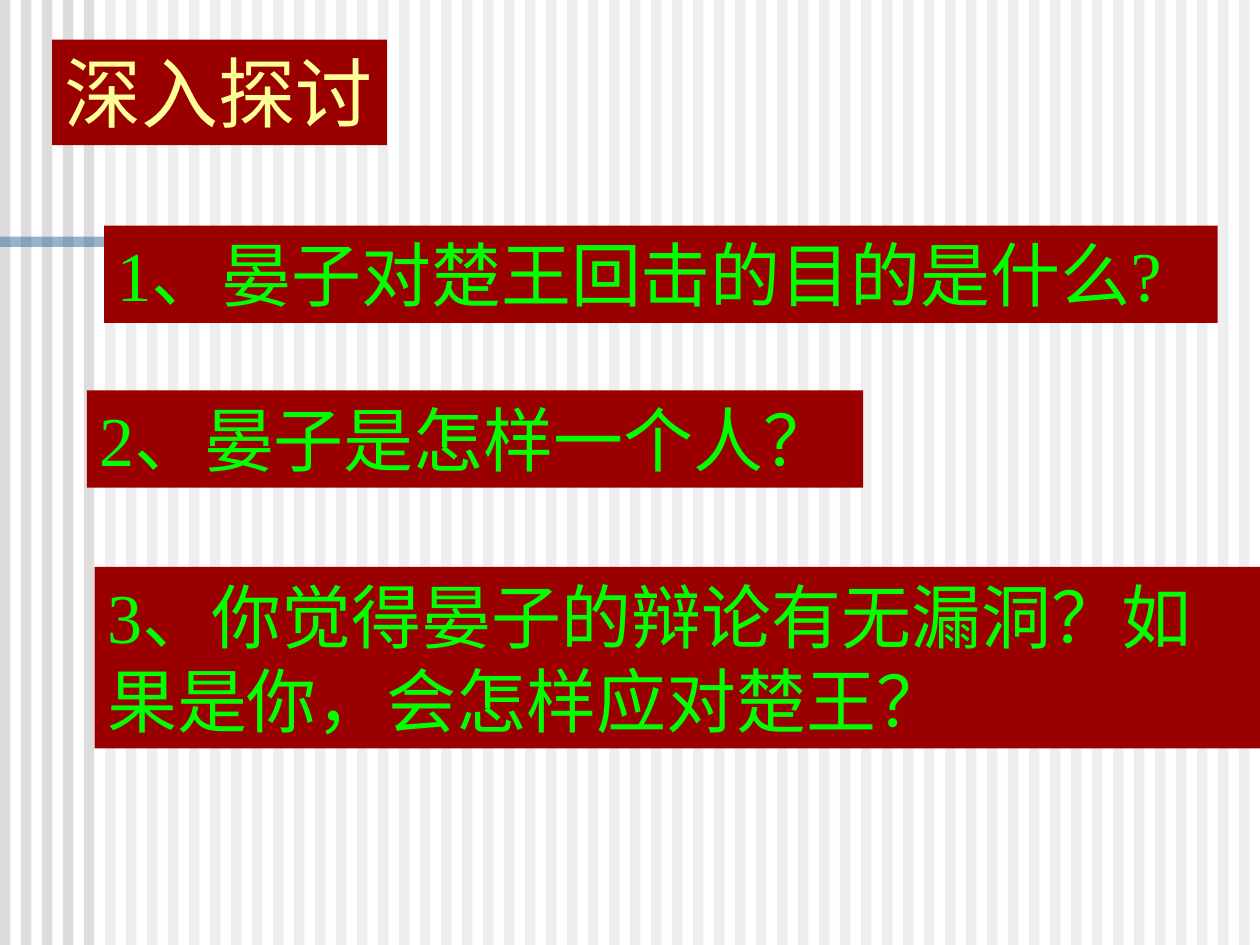
import lxml.etree
import pptx
import pptx.dml.color
import pptx.enum.shapes
import pptx.enum.text
import pptx.oxml.ns
import pptx.util
from pptx.util import Cm

WIDTH, HEIGHT = 25.4, 19.05
STRIPES = 60
STRIPE_STEP = WIDTH / STRIPES
FONT = "Times New Roman"
GREY, WHITE, BLUE = "DDDDDD", "FFFFFF", "336699"
RED, GREEN, YELLOW = "9A0000", "00FF00", "FFFF99"

# text, (left, top, width, height) in cm, format
BOXES = [
    ("1、晏子对楚王回击的目的是什么?", (2.1, 4.55, 22.45, 1.96), {}),
    ("2、晏子是怎样一个人？", (1.75, 7.87, 15.65, 1.96), {"wrap": False}),
    ("深入探讨", (1.05, 0.8, 6.75, 2.13),
     {"size": 44, "color": YELLOW, "wrap": False}),
    ("3、你觉得晏子的辩论有无漏洞？如果是你，会怎样应对楚王？",
     (1.91, 11.43, 23.49, 3.66), {}),
]


def rgb(value):
    return pptx.dml.color.RGBColor.from_string(value)


def add_rect(shapes, box, fill, alpha=None):
    """Add a borderless rectangle; alpha is its opacity in percent."""
    sp = shapes.add_shape(pptx.enum.shapes.MSO_SHAPE.RECTANGLE, *map(Cm, box))
    sp.shadow.inherit = False
    sp.line.fill.background()
    sp.fill.solid()
    sp.fill.fore_color.rgb = rgb(fill)
    if alpha is not None:
        qn = pptx.oxml.ns.qn
        clr = sp._element.spPr.find(qn("a:solidFill"))[0]
        lxml.etree.SubElement(clr, qn("a:alpha")).set("val", str(alpha * 1000))


def add_text(shapes, text, box, size=40, color=GREEN, wrap=True):
    sp = shapes.add_textbox(*map(Cm, box))
    sp.fill.solid()
    sp.fill.fore_color.rgb = rgb(RED)
    tf = sp.text_frame
    tf.word_wrap = wrap
    tf.auto_size = pptx.enum.text.MSO_AUTO_SIZE.SHAPE_TO_FIT_TEXT
    r = tf.paragraphs[0].add_run()
    r.text = text
    r.font.name = FONT
    r.font.size = pptx.util.Pt(size)
    r.font.color.rgb = rgb(color)


def main():
    prs = pptx.Presentation()
    prs.slide_width, prs.slide_height = Cm(WIDTH), Cm(HEIGHT)
    s = prs.slides.add_slide(prs.slide_layouts[6])

    background = s.shapes.add_group_shape().shapes
    for i in range(STRIPES):
        add_rect(background, (i * STRIPE_STEP, 0, STRIPE_STEP / 2, HEIGHT), GREY)
    add_rect(background, (1.9, 0, WIDTH - 1.9, HEIGHT), WHITE, alpha=50)
    add_rect(background, (0, 4.77, 19.3, 0.21), BLUE, alpha=50)

    for text, box, style in BOXES:
        add_text(s.shapes, text, box, **style)
    prs.save("out.pptx")


if __name__ == "__main__":
    main()
